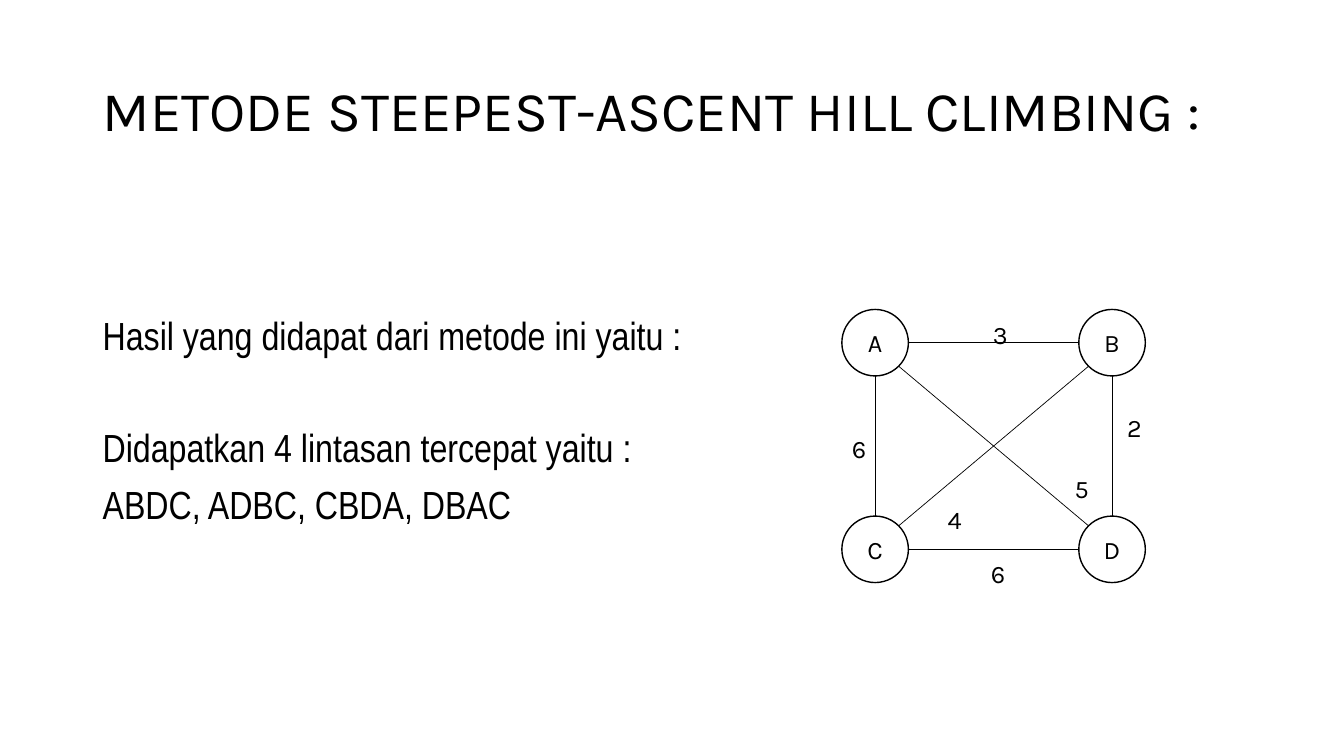
from math import hypot

from pptx import Presentation
from pptx.dml.color import RGBColor
from pptx.enum.shapes import MSO_CONNECTOR, MSO_SHAPE
from pptx.enum.text import MSO_ANCHOR, MSO_AUTO_SIZE, PP_ALIGN
from pptx.util import Inches, Pt
from lxml import etree

OVAL = MSO_SHAPE.OVAL
LINE = MSO_CONNECTOR.STRAIGHT
MIDDLE = MSO_ANCHOR.MIDDLE
CENTER = PP_ALIGN.CENTER
GROW = MSO_AUTO_SIZE.SHAPE_TO_FIT_TEXT
NS = "http://schemas.openxmlformats.org/drawingml/2006/main"

COLORS = {"ink": "000000", "paper": "FFFFFF"}
HEAD, BODY = "Karla", "Arial Narrow"

# Column and row of each node
NODES = {"A": (0, 0), "B": (1, 0), "C": (0, 1), "D": (1, 1)}
# Ends, weight, and the weight's place within the graph
EDGES = [
    ("A", "B", "3", 1.4, 0.05),
    ("C", "D", "6", 1.38, 2.42),
    ("A", "C", "6", 0, 1.18),
    ("B", "D", "2", 2.73, 0.97),
    ("A", "D", "5", 2.21, 1.58),
    ("B", "C", "4", 0.95, 1.88),
]


def color(name):
    return RGBColor.from_string(COLORS[name])


def style(para, text, face, size):
    para.text = text
    para.font.name = face
    para.font.size = Pt(size)
    para.font.color.rgb = color("ink")


def add_title(slide, left, top, width, height):
    frame = slide.shapes.add_textbox(
        Inches(left), Inches(top), Inches(width), Inches(height)).text_frame
    frame.word_wrap = True
    frame.vertical_anchor = MIDDLE
    para = frame.paragraphs[0]
    style(para, "METODE STEEPEST-ASCENT HILL CLIMBING :", HEAD, 40)
    para.line_spacing = 0.9


def add_body(slide, left, top, width, height):
    frame = slide.shapes.add_textbox(
        Inches(left), Inches(top), Inches(width), Inches(height)).text_frame
    frame.word_wrap = True
    lines = [
        ("Hasil yang didapat dari metode ini yaitu :", 10),
        ("Didapatkan 4 lintasan tercepat yaitu :", 50),
        ("ABDC, ADBC, CBDA, DBAC", 10),
    ]
    for i, (text, gap) in enumerate(lines):
        para = frame.add_paragraph() if i else frame.paragraphs[0]
        style(para, text, BODY, 28)
        para.line_spacing = 0.9
        para.space_before = Pt(gap)


def add_graph(slide, left, top, width, height):
    shapes = slide.shapes.add_group_shape().shapes
    size = 0.66
    rad = size / 2
    mids = {name: (left + rad + col * (width - size),
                   top + rad + row * (height - size))
            for name, (col, row) in NODES.items()}

    # Nodes
    for name, (x, y) in mids.items():
        node = shapes.add_shape(OVAL, Inches(x - rad), Inches(y - rad),
                                Inches(size), Inches(size))
        node.shadow.inherit = False
        node.fill.solid()
        node.fill.fore_color.rgb = color("paper")
        node.line.color.rgb = color("ink")
        node.line.width = Pt(1)
        node.text_frame.vertical_anchor = MIDDLE
        para = node.text_frame.paragraphs[0]
        style(para, name, HEAD, 18)
        para.alignment = CENTER

    # Edges run from rim to rim, diagonals at 45 degrees
    for start, end, weight, dx, dy in EDGES:
        (x1, y1), (x2, y2) = mids[start], mids[end]
        across = NODES[end][0] - NODES[start][0]
        down = NODES[end][1] - NODES[start][1]
        step = rad / hypot(across, down)
        edge = shapes.add_connector(
            LINE,
            Inches(x1 + across * step), Inches(y1 + down * step),
            Inches(x2 - across * step), Inches(y2 - down * step))
        edge.line.color.rgb = color("ink")
        edge.line.width = Pt(0.5)
        etree.SubElement(edge._element.spPr, f"{{{NS}}}effectLst")

        # Weight
        frame = shapes.add_textbox(Inches(left + dx), Inches(top + dy),
                                   Inches(0.23), Inches(0.28)).text_frame
        frame.word_wrap = False
        frame.auto_size = GROW
        style(frame.paragraphs[0], weight, HEAD, 18)


def main():
    deck = Presentation()
    deck.slide_width = Inches(13.33)
    deck.slide_height = Inches(7.5)
    slide = deck.slides.add_slide(deck.slide_layouts[6])
    add_title(slide, 0.92, 0.4, 11.5, 1.45)
    add_body(slide, 0.92, 3.09, 7, 4.2)
    add_graph(slide, 8.35, 3.07, 3.01, 2.71)
    deck.save("out.pptx")


if __name__ == "__main__":
    main()
